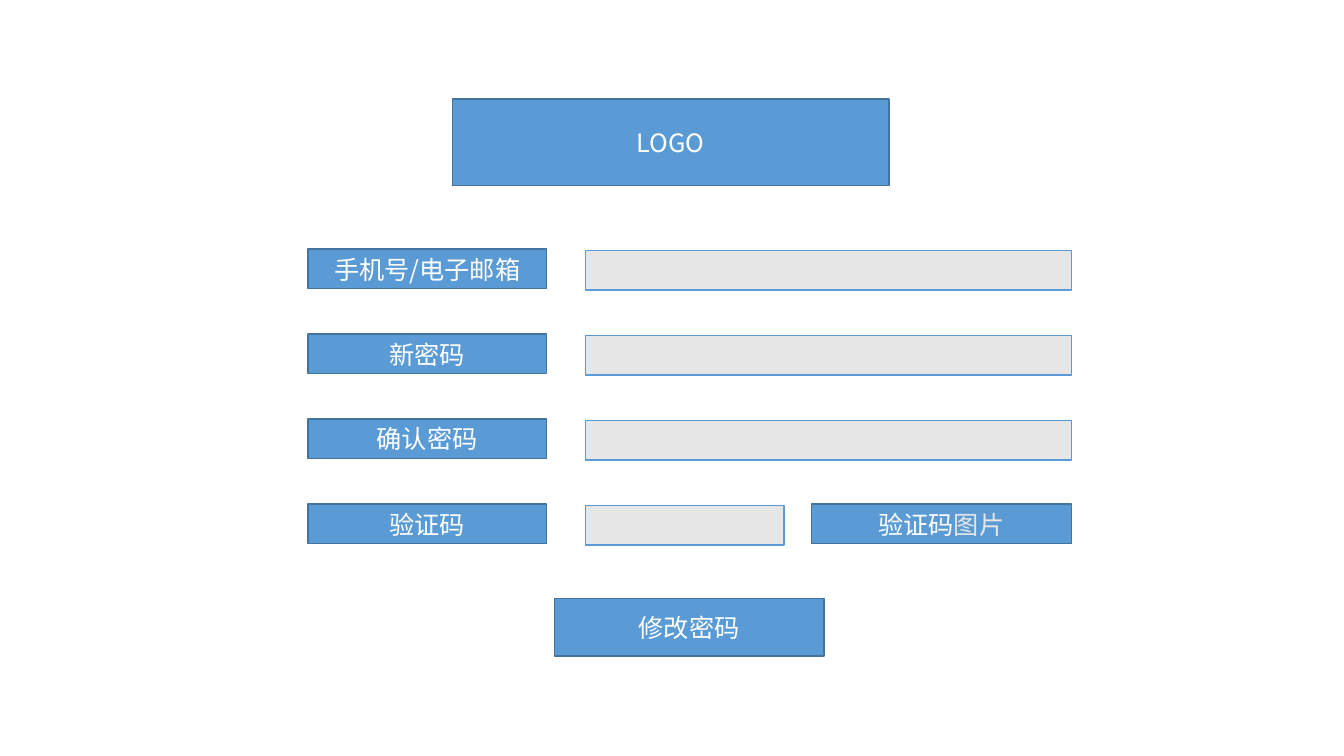
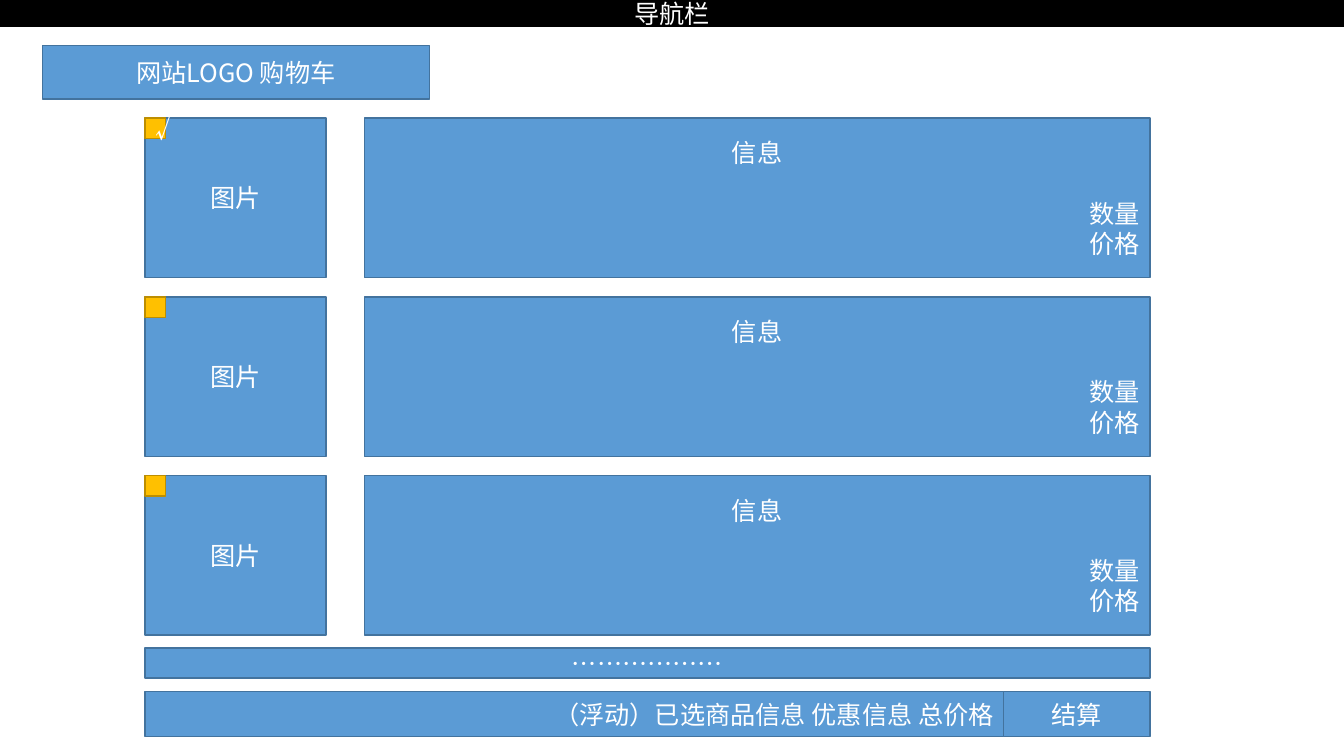
import pptx
import pptx.dml.color
import pptx.enum.shapes
import pptx.enum.text
import pptx.oxml
import pptx.oxml.ns
import pptx.util

Pt = pptx.util.Pt
RGBColor = pptx.dml.color.RGBColor
ALIGN = pptx.enum.text.PP_ALIGN

BLUE = RGBColor(0x5B, 0x9B, 0xD5)
DARK_BLUE = RGBColor(0x43, 0x73, 0x9E)
GREY = RGBColor(0xE7, 0xE6, 0xE6)
GOLD = RGBColor(0xFF, 0xC0, 0x00)
DARK_GOLD = RGBColor(0xBD, 0x8E, 0x00)
BLACK = RGBColor(0, 0, 0)
WHITE = RGBColor(0xFF, 0xFF, 0xFF)
FONT = "Noto Sans CJK SC"
LINE_HEIGHT = 21.6


def format_run(run, color=WHITE):
    run.font.size = Pt(18)
    run.font.color.rgb = color
    run.font.name = FONT
    east_asian = pptx.oxml.parse_xml(
        f'<a:ea {pptx.oxml.ns.nsdecls("a")} typeface="{FONT}"/>')
    run.font.fill  # the fill precedes the typefaces
    run._r.get_or_add_rPr().append(east_asian)


def add_box(slide, left, top, width, height, text="", fill=BLUE, line=DARK_BLUE,
            align=ALIGN.CENTER):
    """Add an outlined rectangle; each line of text becomes a paragraph."""
    shape = slide.shapes.add_shape(
        pptx.enum.shapes.MSO_SHAPE.RECTANGLE,
        Pt(left), Pt(top), Pt(width), Pt(height))
    shape.shadow.inherit = False
    shape.fill.solid()
    shape.fill.fore_color.rgb = fill
    shape.line.color.rgb = line
    shape.line.width = Pt(1)
    if text:
        shape.text_frame.text = text
        shape.text_frame.vertical_anchor = pptx.enum.text.MSO_ANCHOR.MIDDLE
        for paragraph in shape.text_frame.paragraphs:
            paragraph.alignment = align
            for run in paragraph.runs:
                format_run(run)
    return shape


presentation = pptx.Presentation()
presentation.slide_width = Pt(960)
presentation.slide_height = Pt(540)
blank_layout = presentation.slide_layouts[6]

# Password reset form
slide = presentation.slides.add_slide(blank_layout)
add_box(slide, 323.3, 70.6, 311.8, 61.9, "LOGO")

FORM_TOP, FORM_PITCH, FIELD_HEIGHT = 178, 60.7, 28.3
FIELD_LEFT, FIELD_WIDTH, CODE_WIDTH = 418.3, 347, 141.8
IMAGE_WIDTH = 185.8
fields = [("手机号/电子邮箱", FIELD_WIDTH), ("新密码", FIELD_WIDTH),
          ("确认密码", FIELD_WIDTH), ("验证码", CODE_WIDTH)]
for row, (label, width) in enumerate(fields):
    top = FORM_TOP + row * FORM_PITCH
    add_box(slide, FIELD_LEFT, top + 1, width, FIELD_HEIGHT, fill=GREY, line=BLUE)
    add_box(slide, 220, top, 170.3, FIELD_HEIGHT, label)

code_image = add_box(slide, FIELD_LEFT + FIELD_WIDTH - IMAGE_WIDTH, top,
                     IMAGE_WIDTH, FIELD_HEIGHT, "验证码")
run = code_image.text_frame.paragraphs[0].add_run()
run.text = "图片"
format_run(run, GREY)
add_box(slide, 396, 427.7, 192.5, 41, "修改密码")

# Shopping cart
slide = presentation.slides.add_slide(blank_layout)
add_box(slide, 0, 0, 960, 18.8, "导航栏", BLACK, BLACK)
add_box(slide, 30.2, 32.4, 276.6, 38.3, "网站LOGO 购物车")

CART_LEFT, CART_WIDTH, CHECKOUT_WIDTH = 103.7, 717.7, 104.4
CART_TOP, CART_PITCH, ITEM_HEIGHT = 84.4, 127.7, 113.8
INFO_WIDTH = 561.2
for row, mark in enumerate(["√", "", ""]):
    top = CART_TOP + row * CART_PITCH
    add_box(slide, CART_LEFT, top, 129.3, ITEM_HEIGHT, "图片")
    info = add_box(slide, CART_LEFT + CART_WIDTH - INFO_WIDTH, top,
                   INFO_WIDTH, ITEM_HEIGHT, "信息\n数量\n价格")
    quantity, price = info.text_frame.paragraphs[1:]
    quantity.alignment = price.alignment = ALIGN.RIGHT
    quantity.space_before = Pt(LINE_HEIGHT)
    add_box(slide, CART_LEFT, top, 14.6, 14.6, mark, GOLD, DARK_GOLD)

add_box(slide, CART_LEFT, 463, CART_WIDTH, 21.2, "………………")
SUMMARY_WIDTH = CART_WIDTH - CHECKOUT_WIDTH
add_box(slide, CART_LEFT + SUMMARY_WIDTH, 493.9, CHECKOUT_WIDTH, 32.4, "结算")
add_box(slide, CART_LEFT, 493.9, SUMMARY_WIDTH, 32.4,
        "（浮动）已选商品信息 优惠信息 总价格", align=ALIGN.RIGHT)

presentation.save("out.pptx")
